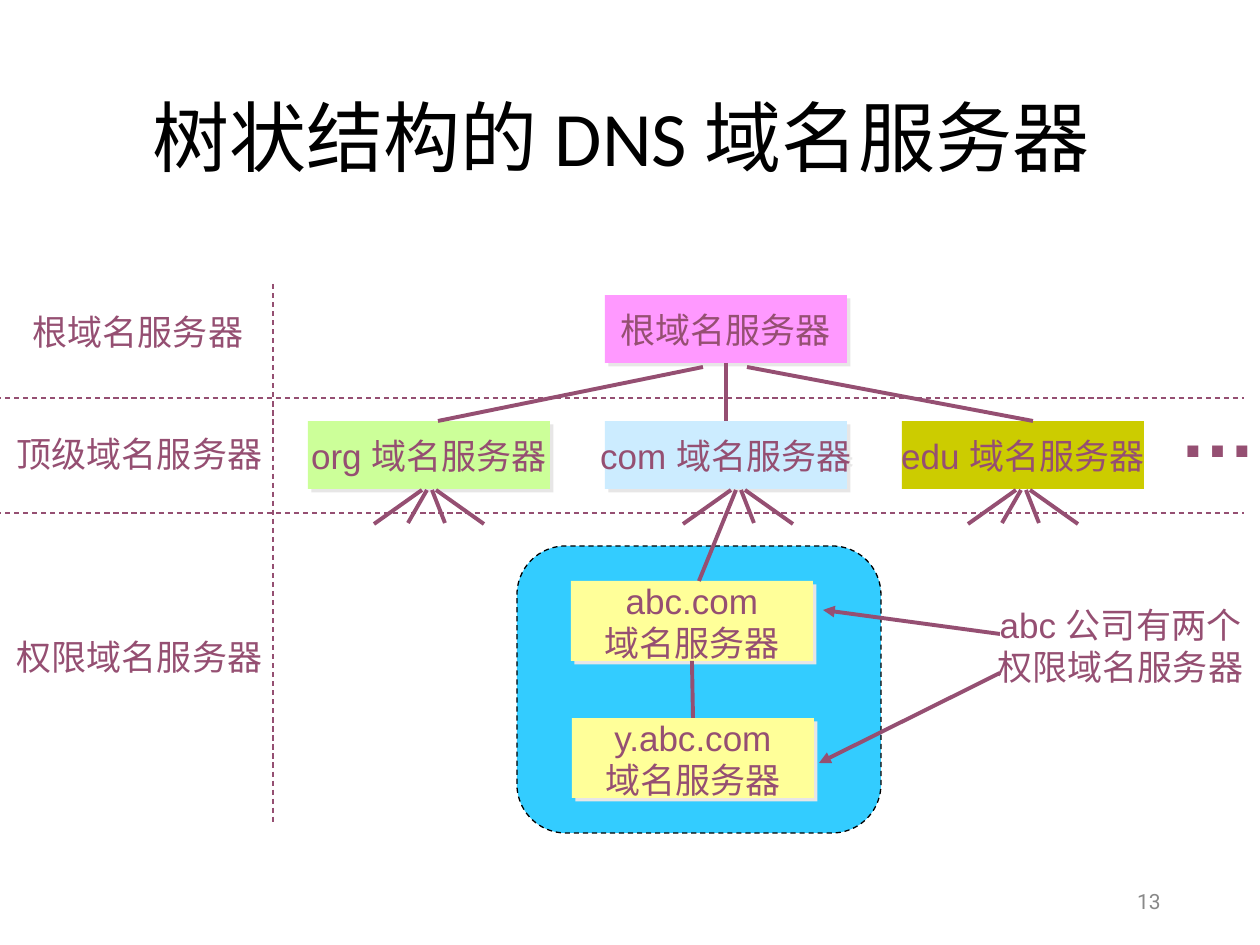
import lxml.etree
import pptx
import pptx.dml.color
import pptx.enum.dml
import pptx.enum.shapes
import pptx.enum.text
import pptx.oxml.ns
import pptx.util
from dataclasses import dataclass

SCALE = 914400 / 126  # EMU in one px
ALIGN = pptx.enum.text.PP_ALIGN
ANCHOR = pptx.enum.text.MSO_ANCHOR
SHAPE = pptx.enum.shapes.MSO_SHAPE


@dataclass(frozen=True)
class Theme:
    ink: str = "954F72"
    black: str = "000000"
    grey: str = "898989"
    shadow: str = "E7E6E6"
    panel: str = "33CCFF"
    root: str = "FF99FF"
    org: str = "CCFF99"
    com: str = "CCECFF"
    edu: str = "CCCC00"
    company: str = "FFFF99"
    large: int = 44
    body: int = 20
    small: int = 12
    thin: float = 0.75
    thick: float = 2.25


THEME = Theme()


def px(value):
    return pptx.util.Emu(round(value * SCALE))


def rgb(value):
    return pptx.dml.color.RGBColor.from_string(value)


def add_xml(parent, tag, **values):
    return lxml.etree.SubElement(parent, pptx.oxml.ns.qn(tag), values)


class SlideBuilder:
    def __init__(self, page, theme):
        self.page = page
        self.theme = theme

    def fill_text(self, shape, text, frame_format=None, spacing=None,
                  align=ALIGN.CENTER, **font):
        frame = shape.text_frame
        for name, value in {"word_wrap": False, **(frame_format or {})}.items():
            setattr(frame, name, value)
        style = {"name": "Arial", "size": self.theme.body, "color": self.theme.ink, **font}
        style["size"] = pptx.util.Pt(style["size"])
        color = style.pop("color")
        for index, line in enumerate(text.split("\n")):
            para = frame.add_paragraph() if index else frame.paragraphs[0]
            para.alignment = align
            if spacing:
                para.line_spacing = spacing
            span = para.add_run()
            span.text = line
            for name, value in style.items():
                setattr(span.font, name, value)
            span.font.color.rgb = rgb(color)

    def text(self, left, top, width, height, text, **style):
        box = self.page.shapes.add_textbox(px(left), px(top), px(width), px(height))
        self.fill_text(box, text, **style)

    def label(self, left, top, width, height, text, wrap=False, **style):
        growing = {"word_wrap": wrap, "auto_size": pptx.enum.text.MSO_AUTO_SIZE.SHAPE_TO_FIT_TEXT}
        self.text(left, top, width, height, text, frame_format=growing, **style)

    def shape(self, kind, left, top, width, height, fill):
        box = self.page.shapes.add_shape(kind, px(left), px(top), px(width), px(height))
        box.shadow.inherit = False
        box.fill.solid()
        box.fill.fore_color.rgb = rgb(fill)
        box.line.fill.background()
        return box

    def server(self, left, top, height, fill, text, shadow=True):
        box = self.shape(SHAPE.RECTANGLE, left, top, 242, height, fill)
        if shadow:
            effects = box._element.spPr.find(pptx.oxml.ns.qn("a:effectLst"))
            outer = add_xml(effects, "a:outerShdw", dist="35921", dir="2700000",
                            algn="ctr", rotWithShape="0")
            add_xml(outer, "a:srgbClr", val=self.theme.shadow)
        self.fill_text(box, text, {"vertical_anchor": ANCHOR.MIDDLE})
        return box

    def stroke(self, line, color, width, dashed):
        line.color.rgb = rgb(color)
        line.width = pptx.util.Pt(width)
        if dashed:
            line.dash_style = pptx.enum.dml.MSO_LINE.DASH

    def panel(self, left, top, width, height):
        box = self.shape(SHAPE.ROUNDED_RECTANGLE, left, top, width, height, self.theme.panel)
        box.adjustments[0] = 0.17
        self.stroke(box.line, self.theme.black, self.theme.thin, True)

    def line(self, start, end, dashed=False, arrow=False):
        link = self.page.shapes.add_connector(
            pptx.enum.shapes.MSO_CONNECTOR.STRAIGHT, *map(px, (*start, *end)))
        width = self.theme.thin if dashed else self.theme.thick
        self.stroke(link.line, self.theme.ink, width, dashed)
        properties = link._element.spPr
        if arrow:
            add_xml(properties.find(pptx.oxml.ns.qn("a:ln")), "a:tailEnd", type="triangle")
        add_xml(properties, "a:effectLst")
        return link

    def join(self, upper, lower):
        link = self.line((0, 0), (0, 0))
        link.begin_connect(upper, 2)
        link.end_connect(lower, 0)


def main():
    deck = pptx.Presentation()
    deck.slide_width, deck.slide_height = px(1260), px(945)
    slide = SlideBuilder(deck.slides.add_slide(deck.slide_layouts[6]), THEME)

    # Title
    middle = {"word_wrap": True, "vertical_anchor": ANCHOR.MIDDLE}
    slide.text(87, 50, 1086, 183, "树状结构的 DNS 域名服务器 ", spacing=0.9,
               frame_format=middle, name="Calibri", size=THEME.large, color=THEME.black)

    # Level dividers and level names
    for y in (398, 513):
        slide.line((-13, y), (1244, y), dashed=True)
    slide.line((273, 284), (273, 822), dashed=True)
    for left, top, width, text in ((20, 304, 236, "根域名服务器"),
                                   (4, 426, 271, "顶级域名服务器"),
                                   (4, 629, 271, "权限域名服务器")):
        slide.label(left, top, width, 54, text)

    # Company panel
    slide.panel(517, 546, 364, 287)

    # Root and top-level servers, evenly spaced
    root = slide.server(605, 295, 68, THEME.root, "根域名服务器")
    domains = (("org", THEME.org), ("com", THEME.com), ("edu", THEME.edu))
    lefts = [308 + 297 * index for index in range(len(domains))]
    org, com, edu = [
        slide.server(left, 421, 68, fill, f"{name} 域名服务器", shadow=name != "edu")
        for left, (name, fill) in zip(lefts, domains)]
    slide.label(1167, 374, 102, 106, "…", align=ALIGN.LEFT, size=THEME.large, bold=True)

    # Company servers
    company = slide.server(571, 581, 80, THEME.company, "abc.com\n域名服务器")
    branch = slide.server(572, 718, 80, THEME.company, "y.abc.com\n域名服务器")

    # Branches from the root
    slide.line((703, 367), (438, 421))
    slide.line((747, 367), (1033, 421))
    slide.join(root, com)
    slide.join(company, branch)

    # Fans below the top-level servers; one com branch reaches the company
    fan = ((128, 176, 524), (124, 137, 523), (114, 66, 524), (119, 100, 523))
    for left, (name, _) in zip(lefts, domains):
        origin = left + (12 if name == "com" else 0)
        for start, end, bottom in fan:
            target = (origin + end, bottom)
            if name == "com" and start == 119:
                target = (699, 581)
            slide.line((origin + start, 490), target)

    # Note with arrows to both company servers
    slide.line((1000, 634), (823, 610), arrow=True)
    slide.line((1000, 673), (819, 763), arrow=True)
    slide.label(985, 597, 271, 97, "abc 公司有两个\n权限域名服务器", wrap=True)

    # Page number
    slide.text(890, 876, 283, 50, "13", align=ALIGN.RIGHT, frame_format=middle,
               name="Roboto", size=THEME.small, color=THEME.grey)

    deck.save("out.pptx")


if __name__ == "__main__":
    main()
